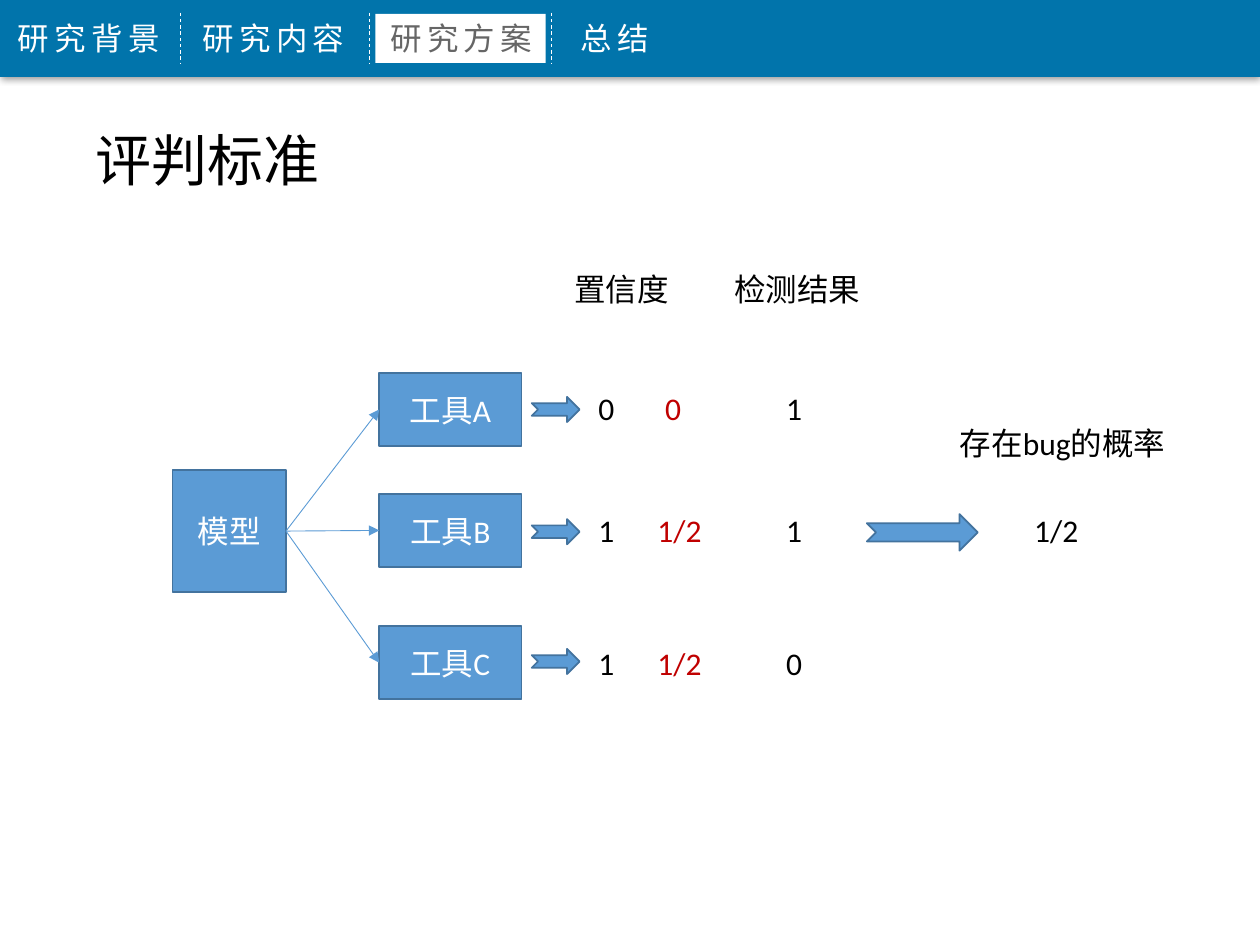
from lxml import etree
from pptx import Presentation
from pptx.dml.color import RGBColor
from pptx.enum.dml import MSO_LINE
from pptx.enum.shapes import MSO_CONNECTOR, MSO_SHAPE
from pptx.enum.text import MSO_ANCHOR, MSO_AUTO_SIZE, PP_ALIGN
from pptx.oxml.ns import qn
from pptx.util import Inches, Pt

WHITE = RGBColor(0xFF, 0xFF, 0xFF)
BLACK = RGBColor(0, 0, 0)
GREY = RGBColor(0x66, 0x66, 0x66)
RED = RGBColor(0xC0, 0, 0)
BANNER_BLUE = RGBColor(0x01, 0x74, 0xAB)
BLUE = RGBColor(0x5B, 0x9B, 0xD5)
OUTLINE_BLUE = RGBColor(0x43, 0x73, 0x9E)

RECTANGLE = MSO_SHAPE.RECTANGLE
ARROW = MSO_SHAPE.NOTCHED_RIGHT_ARROW
STRAIGHT = MSO_CONNECTOR.STRAIGHT
DASH = MSO_LINE.DASH
LEFT, CENTER = PP_ALIGN.LEFT, PP_ALIGN.CENTER
MIDDLE = MSO_ANCHOR.MIDDLE
GROW = MSO_AUTO_SIZE.SHAPE_TO_FIT_TEXT
LEFT_SIDE, RIGHT_SIDE = 1, 3

LATIN_FONT = "Calibri"
CHINESE_FONT = "Noto Sans CJK SC"


class SlideBuilder:
    def __init__(self, page):
        self.page = page

    def add_span(self, frame, text, color, size=18, font=LATIN_FONT, align=LEFT, spacing=0):
        para = frame.paragraphs[0]
        para.alignment = align
        span = para.add_run()
        span.text = text
        for name, value in {"name": font, "size": Pt(size)}.items():
            setattr(span.font, name, value)
        span.font.color.rgb = color
        properties = span._r.get_or_add_rPr()
        if spacing:
            properties.set("spc", str(spacing * 100))
        etree.SubElement(properties, qn("a:ea"), typeface=CHINESE_FONT)

    def text(self, left, top, width, text, color=BLACK, height=0.4, wrap=True, **style):
        box = self.page.shapes.add_textbox(
            Inches(left), Inches(top), Inches(width), Inches(height))
        for name, value in {"word_wrap": wrap, "auto_size": GROW}.items():
            setattr(box.text_frame, name, value)
        self.add_span(box.text_frame, text, color, **style)

    def shape(self, left, top, width, height, kind=RECTANGLE, fill=BLUE, outline=OUTLINE_BLUE):
        shape = self.page.shapes.add_shape(
            kind, Inches(left), Inches(top), Inches(width), Inches(height))
        shape.shadow.inherit = False
        shape.fill.solid()
        shape.fill.fore_color.rgb = fill
        if outline is None:
            shape.line.fill.background()
        else:
            shape.line.color.rgb = outline
            shape.line.width = Pt(1)
        return shape

    def labelled_box(self, left, top, width, height, label):
        box = self.shape(left, top, width, height)
        box.text_frame.vertical_anchor = MIDDLE
        self.add_span(box.text_frame, label, WHITE, align=CENTER)
        return box

    def drop_shadow(self, shape):
        effects = shape._element.spPr.find(qn("a:effectLst"))
        shadow = etree.SubElement(
            effects, qn("a:outerShdw"), blurRad=str(Pt(4)), dist=str(Pt(1)),
            dir="5400000", algn="t", rotWithShape="0")
        color = etree.SubElement(shadow, qn("a:prstClr"), val="black")
        etree.SubElement(color, qn("a:alpha"), val="40000")

    def line(self, start, end, color):
        line = self.page.shapes.add_connector(STRAIGHT, *map(Inches, start + end))
        line.line.color.rgb = color
        line.line.width = Pt(0.5)
        etree.SubElement(line._element.spPr, qn("a:effectLst"))
        return line

    def divider(self, left):
        self.line((left, 0.1), (left, 0.5), WHITE).line.dash_style = DASH

    def link(self, source, target):
        link = self.line((0, 0), (1, 1), BLUE)
        link.begin_connect(source, RIGHT_SIDE)
        link.end_connect(target, LEFT_SIDE)
        outline = link._element.spPr.find(qn("a:ln"))
        etree.SubElement(outline, qn("a:tailEnd"), type="triangle")


def main():
    deck = Presentation()
    deck.slide_width, deck.slide_height = Inches(10), Inches(7.5)
    builder = SlideBuilder(deck.slides.add_slide(deck.slide_layouts[6]))

    # Navigation banner with the current section highlighted
    banner = builder.shape(0, 0, 10, 0.61, fill=BANNER_BLUE, outline=None)
    builder.drop_shadow(banner)
    builder.shape(2.98, 0.11, 1.35, 0.39, fill=WHITE, outline=None)
    sections = [
        (0.01, 1.39, "研究背景", WHITE, CENTER),
        (1.51, 1.42, "研究内容", WHITE, LEFT),
        (3, 1.42, "研究方案", GREY, LEFT),
        (4.51, 1.42, "总结", WHITE, LEFT),
    ]
    for left, width, section, color, align in sections:
        builder.text(left, 0.1, width, section, color,
                     font=CHINESE_FONT, align=align, spacing=3)
    for left in (1.43, 2.93, 4.38):
        builder.divider(left)

    # Title and column headings
    builder.text(0.66, 0.95, 2, "评判标准", height=0.64, wrap=False,
                 size=32, font=CHINESE_FONT)
    builder.text(4.46, 2.09, 1.26, "置信度")
    builder.text(5.73, 2.09, 1.29, "检测结果")

    # Model feeding three tools, each with confidence, weight and result
    model = builder.labelled_box(1.37, 3.73, 0.9, 0.97, "模型")
    tools = [
        ("工具A", 2.96, 3.15, 3.04, "0", 5.18, "0", "1"),
        ("工具B", 3.92, 4.12, 4.01, "1", 5.12, "1/2", "1"),
        ("工具C", 4.97, 5.15, 5.06, "1", 5.12, "1/2", "0"),
    ]
    for name, box_top, arrow_top, text_top, confidence, weight_left, weight, result in tools:
        tool = builder.labelled_box(3.01, box_top, 1.13, 0.58, name)
        builder.link(model, tool)
        builder.shape(4.22, arrow_top, 0.38, 0.2, ARROW)
        builder.text(4.65, text_top, 0.47, confidence)
        builder.text(weight_left, text_top, 0.67, weight, RED)
        builder.text(6.14, text_top, 0.47, result)

    # Resulting probability
    builder.shape(6.88, 4.08, 0.88, 0.29, ARROW)
    builder.text(8.11, 4.01, 0.58, "1/2")
    builder.text(7.52, 3.32, 1.94, "存在bug的概率")

    deck.save("out.pptx")


if __name__ == "__main__":
    main()
